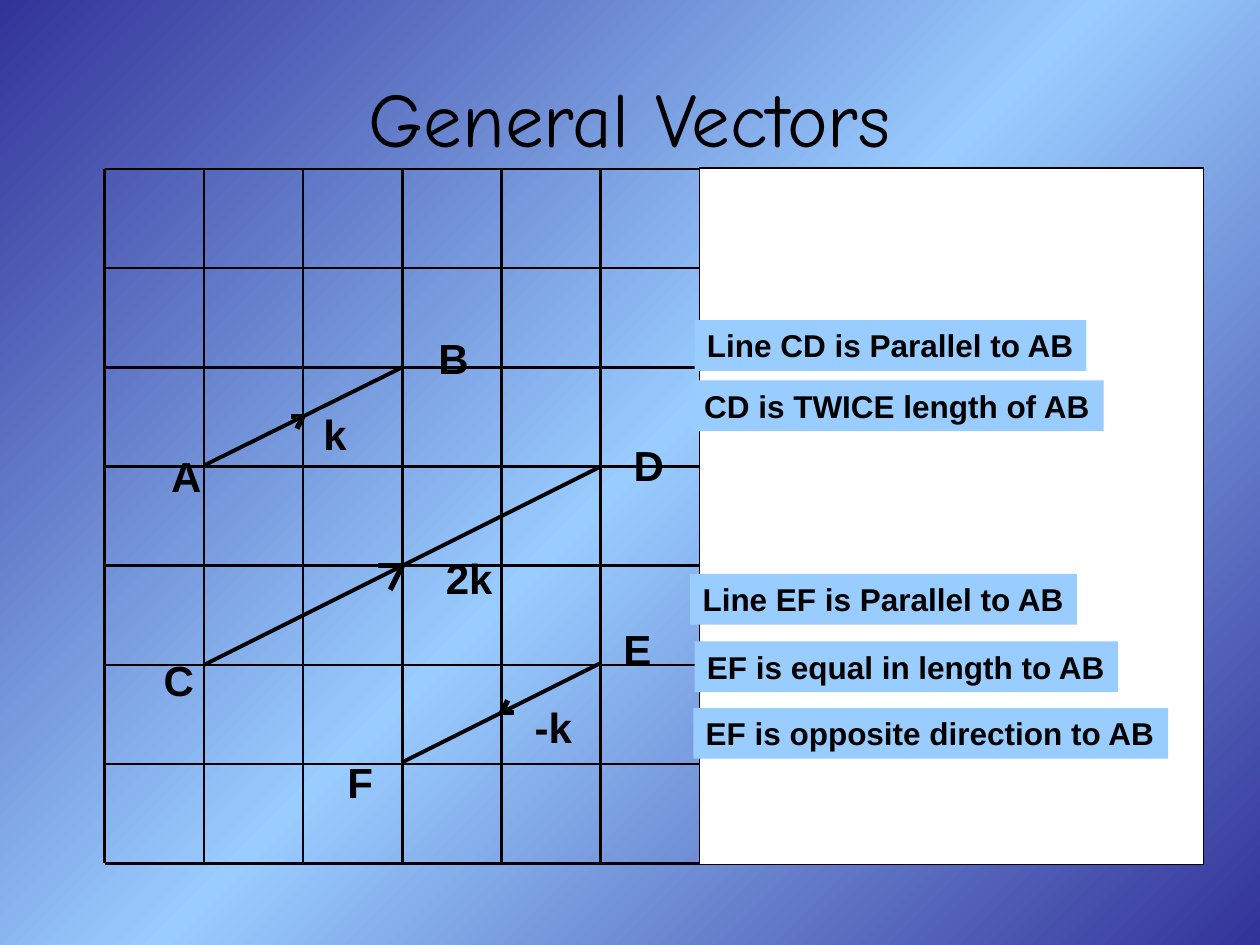
from copy import deepcopy

from pptx import Presentation
from pptx.dml.color import RGBColor
from pptx.enum.shapes import MSO_CONNECTOR as CONNECTOR, MSO_SHAPE as SHAPE
from pptx.enum.text import MSO_ANCHOR as ANCHOR, MSO_AUTO_SIZE as AUTO_SIZE, PP_ALIGN as ALIGN
from pptx.oxml.ns import qn
from pptx.util import Pt

TITLE = "General Vectors"
BLACK, WHITE, SKY, NAVY = "000000", "FFFFFF", "99CCFF", "333399"
GRADIENT = [(0, NAVY), (0.5, SKY), (1, NAVY)]

GRID_LEFT, GRID_TOP, CELL = 59.8, 96.5, 56.7
COLUMNS, ROWS = 6, 7
PANEL = (399.8, 96, 288, 398)

VECTORS = [
    {"start": (1, 2.99), "end": (3, 2), "barb": 7},
    {"start": (1, 5), "end": (5, 3), "barb": 13.8},
    {"start": (5, 4.98), "end": (3, 5.98), "barb": -7},
]
LABELS = [
    ("k", 177.8, 229.7, 28),
    ("A", 90.7, 254, 32),
    ("B", 243.4, 186.7, 32),
    ("C", 86.4, 370.5, 32),
    ("D", 355, 247.7, 32),
    ("-k", 298.4, 397.4, 38),
    ("2k", 247.7, 312, 42),
    ("F", 191.5, 428.8, 30),
    ("E", 349.2, 353, 31),
]
STATEMENTS = [
    ("Line CD is Parallel to AB", 396.9, 182.9, 223.9),
    ("CD is TWICE length of AB", 395.3, 217.4, 235.4),
    ("Line EF is Parallel to AB", 394.4, 328, 221),
    ("EF is equal in length to AB", 396.9, 366.5, 241.9),
    ("EF is opposite direction to AB", 396.2, 404.6, 271.4),
]
LABEL_FONT = {"name": "Arial", "size": Pt(24), "bold": True}
STATEMENT_FONT = {"name": "Arial", "size": Pt(18), "bold": True}
TITLE_FONT = {"name": "Comic Neue", "size": Pt(44), "bold": False}


def color(value):
    return RGBColor.from_string(value)


def grid_point(column, row):
    return GRID_LEFT + column * CELL, GRID_TOP + row * CELL


def add_line(group, start, end, width):
    ends = [Pt(value) for value in (*start, *end)]
    line = group.shapes.add_connector(CONNECTOR.STRAIGHT, *ends)
    line.line.color.rgb = color(BLACK)
    line.line.width = Pt(width)
    properties = line._element.spPr
    properties.append(properties.makeelement(qn("a:effectLst"), {}))


def add_vector(group, start, end, barb):
    start, end = grid_point(*start), grid_point(*end)
    add_line(group, start, end, 2.25)
    x, y = [(first + last) / 2 for first, last in zip(start, end)]
    for tail in ((x - barb, y), (x - barb / 2, y + barb)):
        add_line(group, tail, (x, y), 3)


def write(shape, text, font, align=ALIGN.LEFT):
    paragraph = shape.text_frame.paragraphs[0]
    paragraph.text = text
    paragraph.alignment = align
    for name, value in font.items():
        setattr(paragraph.font, name, value)
    paragraph.font.color.rgb = color(BLACK)


def add_text(slide, text, left, top, width, height, font, fill=None):
    shape = slide.shapes.add_textbox(Pt(left), Pt(top), Pt(width), Pt(height))
    shape.text_frame.word_wrap = False
    shape.text_frame.auto_size = AUTO_SIZE.SHAPE_TO_FIT_TEXT
    if fill:
        shape.fill.solid()
        shape.fill.fore_color.rgb = color(fill)
    write(shape, text, font)


def set_background(slide):
    fill = slide.background.fill
    fill.gradient()
    fill.gradient_angle = 315
    stop_list = slide.element.xpath(".//a:gsLst")[0]
    stop_list.append(deepcopy(stop_list[0]))
    for stop, (position, value) in zip(fill.gradient_stops, GRADIENT):
        stop.position = position
        stop.color.rgb = color(value)


def add_panel(slide):
    panel = slide.shapes.add_shape(SHAPE.RECTANGLE, *map(Pt, PANEL))
    panel.shadow.inherit = False
    panel.fill.solid()
    panel.fill.fore_color.rgb = color(WHITE)
    panel.line.color.rgb = color(BLACK)
    panel.line.width = Pt(0.75)


def main():
    """Build the General Vectors slide."""
    presentation = Presentation()
    presentation.slide_width, presentation.slide_height = Pt(720), Pt(540)
    slide = presentation.slides.add_slide(presentation.slide_layouts[5])
    set_background(slide)

    title = slide.shapes.title
    title.left, title.top, title.width, title.height = map(Pt, (36, 21.6, 648, 90))
    title.text_frame.vertical_anchor = ANCHOR.MIDDLE
    write(title, TITLE, TITLE_FONT, ALIGN.CENTER)

    grid = slide.shapes.add_group_shape()
    for column in range(COLUMNS + 1):
        add_line(grid, grid_point(column, 0), grid_point(column, ROWS), 1.5)
    for row in range(ROWS + 1):
        add_line(grid, grid_point(0, row), grid_point(COLUMNS, row), 1.5)

    for vector in VECTORS:
        add_vector(slide.shapes.add_group_shape(), **vector)

    add_panel(slide)
    for text, left, top, width in LABELS:
        add_text(slide, text, left, top, width, 36, LABEL_FONT)
    for text, left, top, width in STATEMENTS:
        add_text(slide, text, left, top, width, 29, STATEMENT_FONT, SKY)

    presentation.save("out.pptx")


if __name__ == "__main__":
    main()
